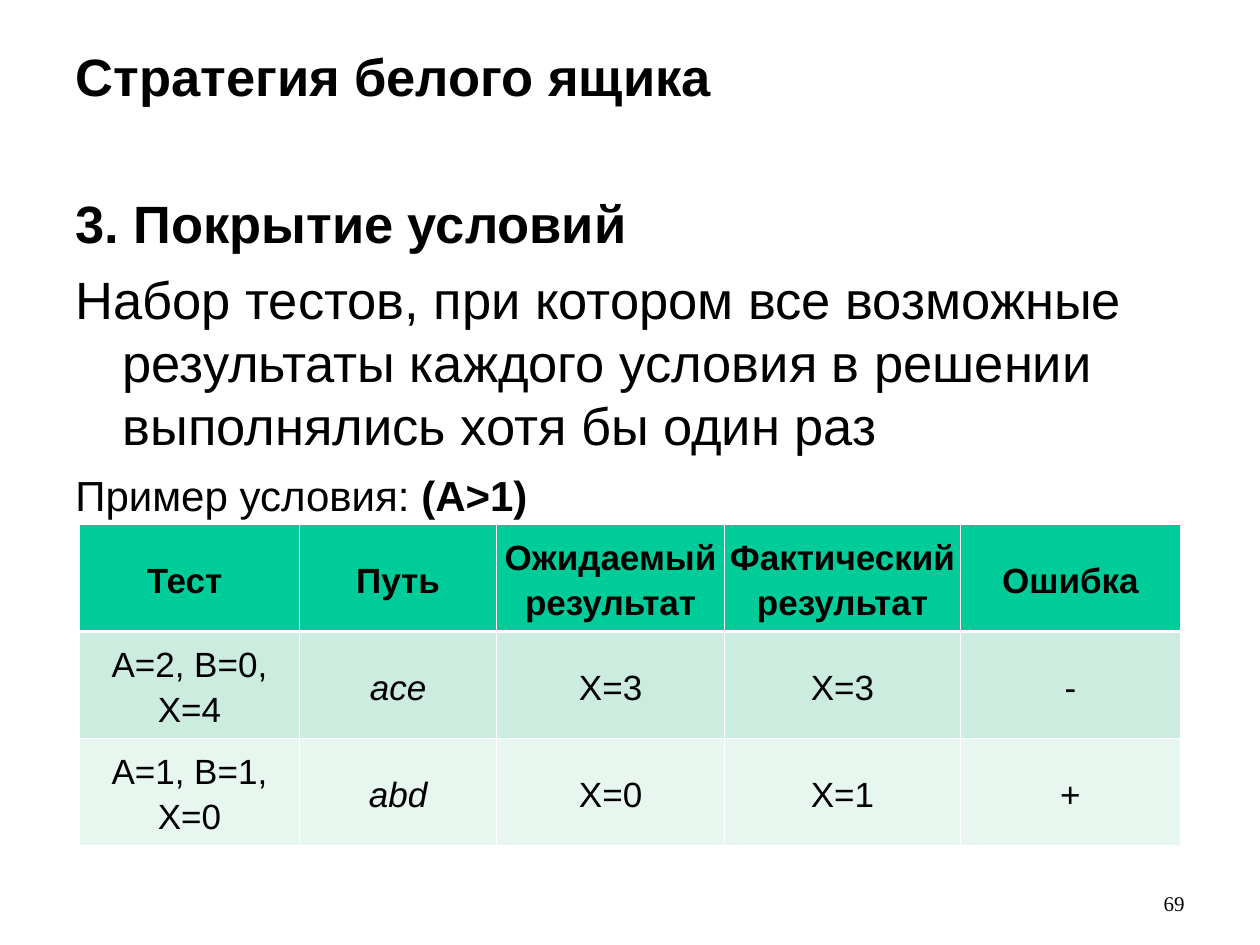
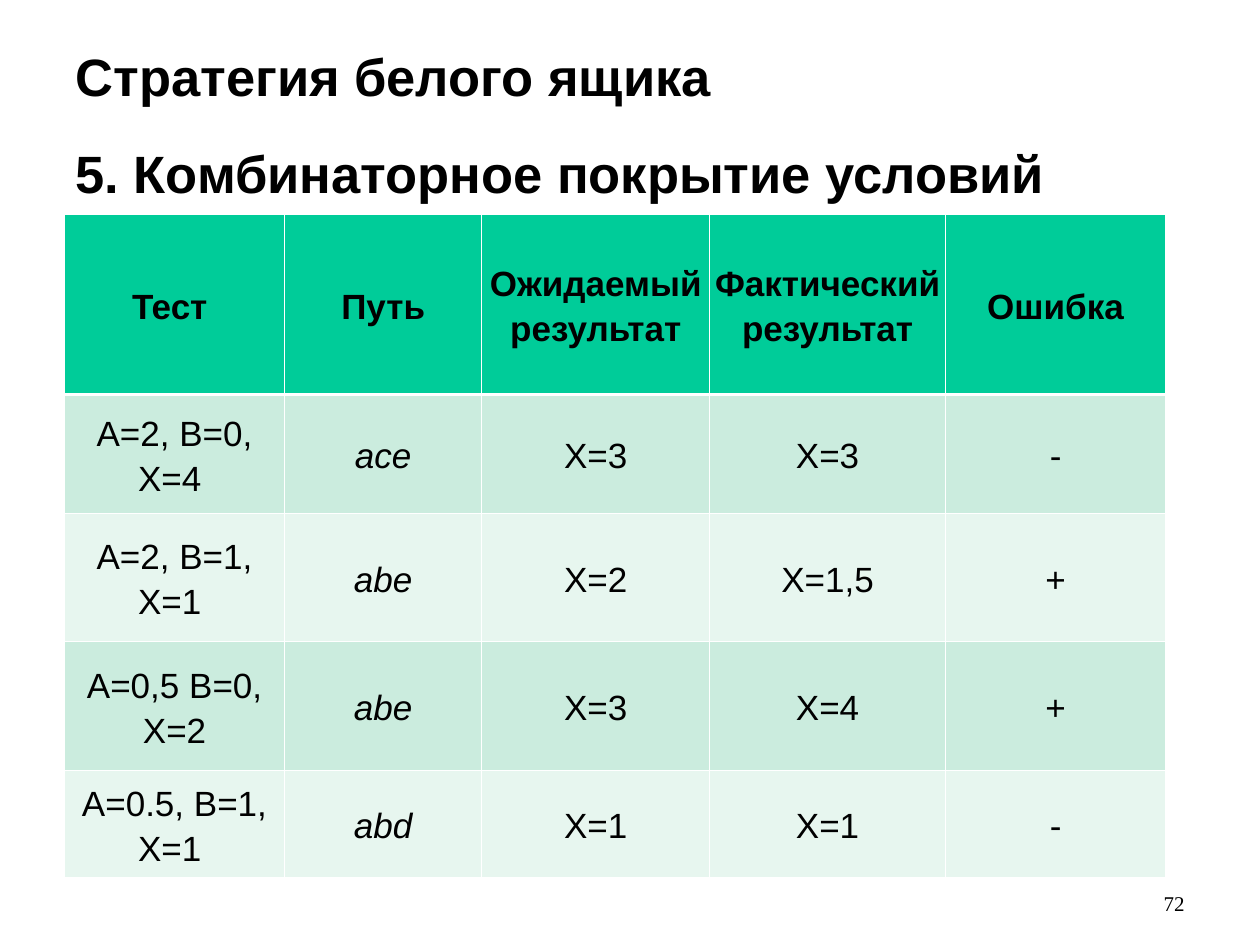
"""Build two slides on white-box testing, each with a table of test cases."""
from dataclasses import dataclass

from lxml.etree import SubElement
from pptx import Presentation
from pptx.dml.color import RGBColor
from pptx.enum.text import MSO_ANCHOR as Anchor, MSO_AUTO_SIZE as AutoSize, PP_ALIGN as Align
from pptx.oxml.ns import qn
from pptx.util import Cm, Pt

BLACK = RGBColor(0x00, 0x00, 0x00)
WHITE = RGBColor(0xFF, 0xFF, 0xFF)
HEADER_GREEN = RGBColor(0x00, 0xCC, 0x99)
BANDS = (RGBColor(0xCB, 0xEC, 0xDE), RGBColor(0xE7, 0xF6, 0xEF))
SANS, SERIF = "Arial", "Times New Roman"

TITLE = "Стратегия белого ящика"
HEADER = ("Тест ", "Путь", "Ожидаемый результат", "Фактический результат", "Ошибка")
COLUMN_WIDTHS = (4.44, 3.97, 4.6, 4.75, 4.44)
PATH_COLUMN = 1
THIN, THICK = Pt(0.45), Pt(1.47)
HANGING = Cm(0.95)


@dataclass(frozen=True)
class Run:
    """A stretch of text in one format."""
    text: str
    size: float = 30
    bold: bool = False
    italic: bool = False
    font: str = SANS


@dataclass(frozen=True)
class Area:
    """A rectangle in centimetres."""
    left: float
    top: float
    width: float
    height: float

    def lengths(self) -> tuple:
        """Return the four sides as lengths."""
        return Cm(self.left), Cm(self.top), Cm(self.width), Cm(self.height)


@dataclass(frozen=True)
class TestPage:
    """The content of one slide."""
    number: str
    body_area: Area
    body: tuple
    table_left: float
    table_top: float
    row_heights: tuple
    tests: tuple


TITLE_AREA = Area(1.27, 0.76, 22.86, 2.16)
NUMBER_AREA = Area(18.21, 17.35, 5.92, 1.24)

PAGES = (
    TestPage(
        "69", Area(1.27, 3.73, 22.86, 13.31),
        ((Run("3. Покрытие условий", bold=True),),
         (Run("Набор тестов, при котором все возможные результаты каждого "
              "условия в решении выполнялись хотя бы один раз"),),
         (Run("Пример условия: ", 24), Run("(A>1)", 24, bold=True))),
        1.6, 10.57, (2.16, 2.16, 2.16),
        (("A=2, B=0, X=4", "ace", "X=3", "X=3", "-"),
         ("A=1, B=1, X=0", "abd", "X=0", "X=1", "+"))),
    TestPage(
        "72", Area(1.27, 2.72, 22.86, 14.3),
        ((Run("5. Комбинаторное покрытие условий", bold=True),),),
        1.3, 4.32, (3.63, 2.39, 2.59, 2.59, 2.16),
        (("A=2, B=0, X=4 ", "ace", "X=3", "X=3", "-"),
         ("A=2, B=1, X=1 ", "abe", "X=2", "X=1,5", "+"),
         ("A=0,5 B=0, X=2", "abe", "X=3", "X=4", "+"),
         ("A=0.5, B=1, X=1 ", "abd", "X=1", "X=1", "-"))),
)


def add_run(para, run: Run) -> None:
    """Append one formatted run to a paragraph."""
    span = para.add_run()
    span.text = run.text
    font = span.font
    font.name, font.size = run.font, Pt(run.size)
    font.bold, font.italic = run.bold, run.italic
    font.color.rgb = BLACK


def fill_text(frame, paragraphs: tuple, align=Align.LEFT, anchor=Anchor.TOP,
              hanging: bool = False) -> None:
    """Write paragraphs of runs into a text frame."""
    frame.word_wrap = True
    frame.auto_size = AutoSize.NONE
    frame.vertical_anchor = anchor
    for index, runs in enumerate(paragraphs):
        para = frame.add_paragraph() if index else frame.paragraphs[0]
        para.alignment = align
        if hanging:
            properties = para._p.get_or_add_pPr()
            properties.set("marL", str(HANGING))
            properties.set("indent", str(-HANGING))
        if index:
            para.space_before = Pt(7.5)
        for run in runs:
            add_run(para, run)


def add_border(cell, side: str, width: int) -> None:
    """Draw a white line on one side of a cell."""
    line = SubElement(cell._tc.get_or_add_tcPr(), qn(f"a:ln{side}"), w=str(width))
    fill = SubElement(line, qn("a:solidFill"))
    SubElement(fill, qn("a:srgbClr"), val=str(WHITE))


def format_cell(cell, text: str, row: int, column: int) -> None:
    """Write and style one table cell."""
    cell.margin_left = cell.margin_right = Cm(0.1)
    cell.margin_top = cell.margin_bottom = Cm(0.13)
    cell.vertical_anchor = Anchor.MIDDLE
    widths = {"L": THIN, "R": THIN,
              "T": THICK if row == 1 else THIN,
              "B": THICK if row == 0 else THIN}
    for side, width in widths.items():
        add_border(cell, side, width)
    cell.fill.solid()
    cell.fill.fore_color.rgb = BANDS[(row - 1) % 2] if row else HEADER_GREEN
    para = cell.text_frame.paragraphs[0]
    para.alignment = Align.CENTER
    para.line_spacing = 1.15
    add_run(para, Run(text, 20, bold=row == 0, italic=row > 0 and column == PATH_COLUMN))


def add_tests(slide, page: TestPage) -> None:
    """Add the table of test cases."""
    rows = (HEADER, *page.tests)
    area = Area(page.table_left, page.table_top, sum(COLUMN_WIDTHS), sum(page.row_heights))
    table = slide.shapes.add_table(len(rows), len(HEADER), *area.lengths()).table
    table.first_row = table.horz_banding = False
    for column, width in zip(table.columns, COLUMN_WIDTHS):
        column.width = Cm(width)
    for row, height in zip(table.rows, page.row_heights):
        row.height = Cm(height)
    for row, texts in enumerate(rows):
        for column, text in enumerate(texts):
            format_cell(table.cell(row, column), text, row, column)


def add_page(deck, page: TestPage) -> None:
    """Add one complete slide."""
    slide = deck.slides.add_slide(deck.slide_layouts[5])
    title = slide.shapes.title
    title.left, title.top, title.width, title.height = TITLE_AREA.lengths()
    fill_text(title.text_frame, ((Run(TITLE, bold=True),),))
    body = slide.shapes.add_textbox(*page.body_area.lengths())
    fill_text(body.text_frame, page.body, hanging=True)
    number = slide.shapes.add_textbox(*NUMBER_AREA.lengths())
    fill_text(number.text_frame, ((Run(page.number, 12, font=SERIF),),),
              Align.RIGHT, Anchor.BOTTOM)
    add_tests(slide, page)


def main() -> None:
    """Build and save the deck."""
    deck = Presentation()
    deck.slide_width, deck.slide_height = Cm(25.4), Cm(19.05)
    for page in PAGES:
        add_page(deck, page)
    deck.save("out.pptx")


if __name__ == "__main__":
    main()
